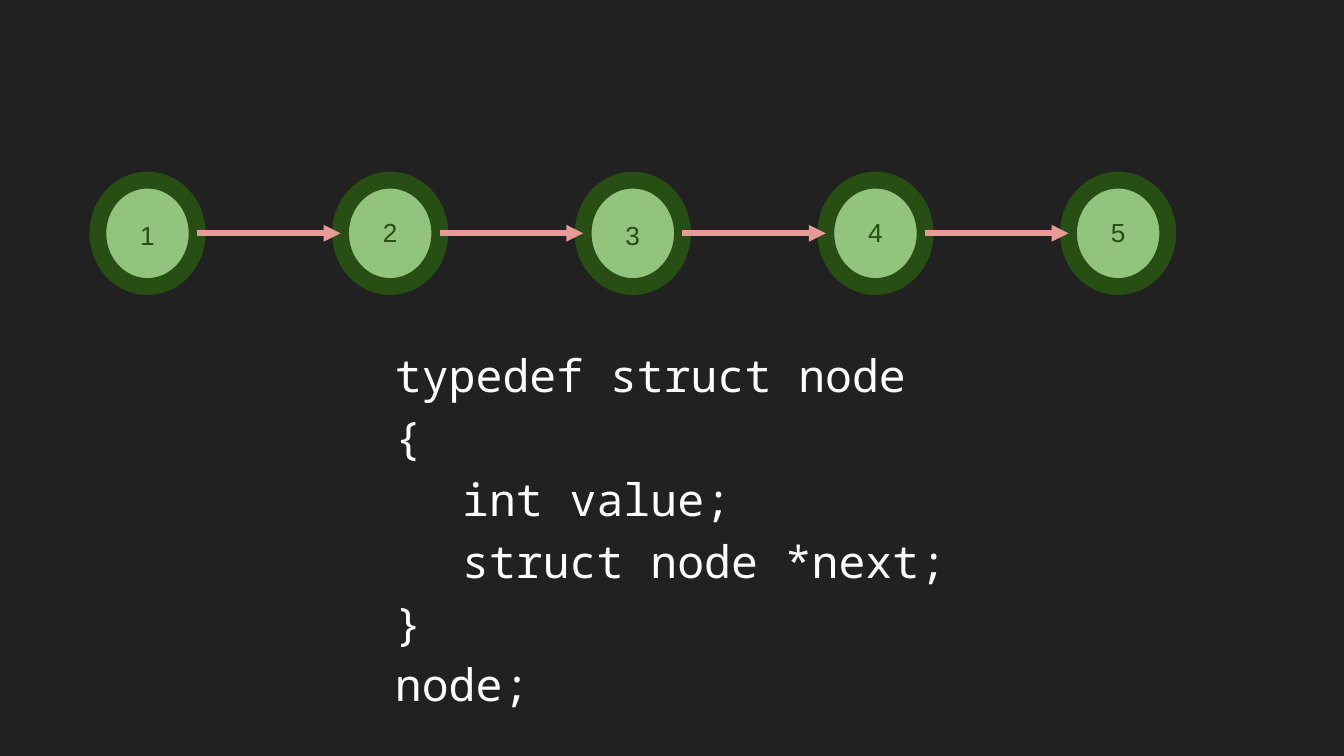
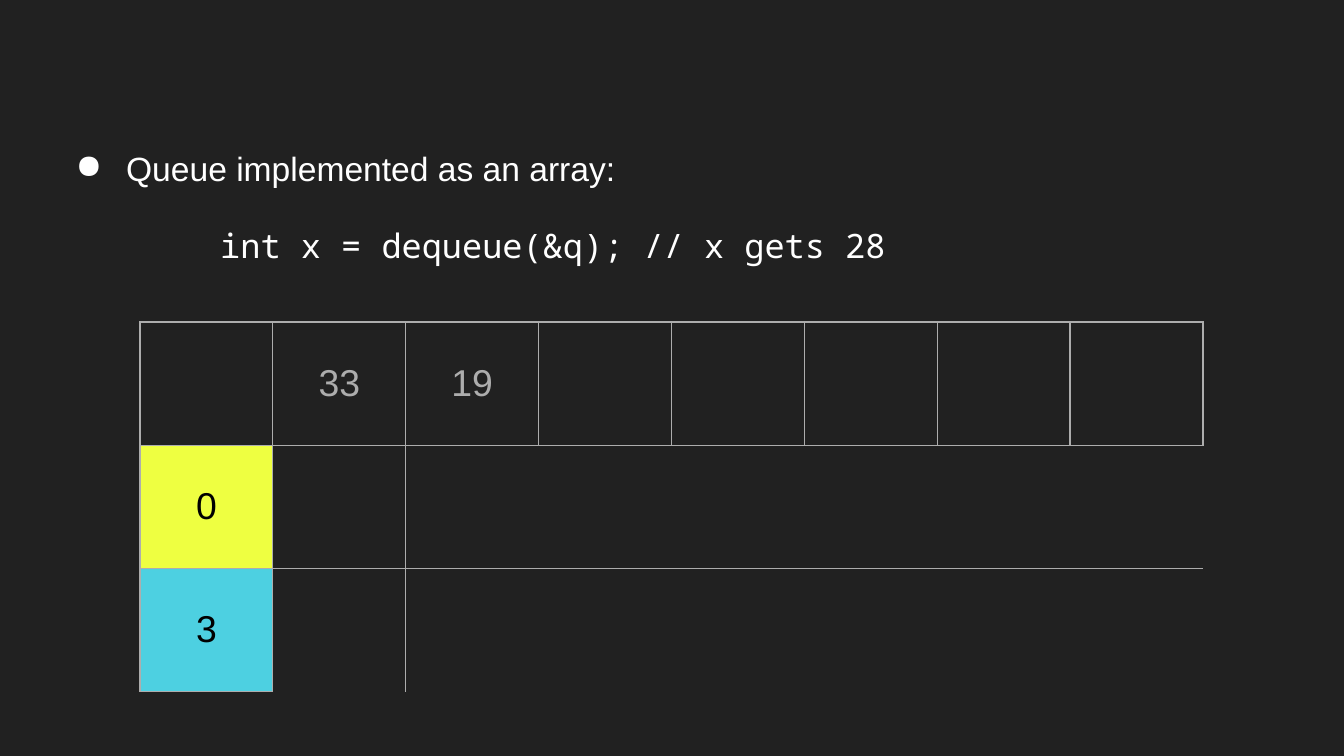
from dataclasses import dataclass

import pptx
import pptx.dml.color
import pptx.enum.shapes
import pptx.enum.text
import pptx.oxml
import pptx.oxml.ns
import pptx.util

Pt = pptx.util.Pt
qn = pptx.oxml.ns.qn
Align = pptx.enum.text.PP_ALIGN
Anchor = pptx.enum.text.MSO_ANCHOR
NS = pptx.oxml.ns.nsdecls("a")
PLAIN_GRID = "{2D5ABB26-0587-4C30-8999-92F81FD0307C}"


@dataclass(frozen=True)
class Theme:
    """Colours, fonts and type sizes."""
    back: str = "212121"
    text: str = "FFFFFF"
    leaf: str = "93C47D"
    moss: str = "274E13"
    arrow: str = "EA9999"
    grid: str = "ADADAD"
    dark: str = "000000"
    yellow: str = "EEFF41"
    cyan: str = "4DD0E1"
    sans: str = "Arial"
    mono: str = "Noto Sans Mono"
    label: int = 14
    body: int = 18
    cell: int = 20
    code: int = 24


THEME = Theme()


def rgb(code):
    """Turn a hex code into a colour."""
    return pptx.dml.color.RGBColor.from_string(code)


def add_xml(parent, markup):
    """Append a small piece of drawing markup to an element."""
    parent.append(pptx.oxml.parse_xml(markup))


def style(para, size, color, font, align=Align.LEFT):
    """Format a paragraph and its runs."""
    para.alignment = align
    for run in para.runs:
        run.font.size = Pt(size)
        run.font.name = font
        run.font.color.rgb = rgb(color)


def new_slide(deck):
    """Add a blank slide with the dark background."""
    slide = deck.slides.add_slide(deck.slide_layouts[6])
    slide.background.fill.solid()
    slide.background.fill.fore_color.rgb = rgb(THEME.back)
    return slide


def add_body(slide, top, height, lines):
    """Add the wide text frame and return its paragraphs."""
    frame = slide.shapes.add_textbox(Pt(24.5), Pt(top), Pt(671), Pt(height)).text_frame
    frame.word_wrap = True
    frame.margin_left = frame.margin_right = Pt(7.2)
    frame.margin_top = frame.margin_bottom = Pt(7.2)
    frame.text = "\n".join(lines)
    for para in frame.paragraphs:
        para.line_spacing = 1.15
    return frame.paragraphs


def indent(para, left, first=0):
    """Set the left margin and first line indent of a paragraph."""
    props = para._p.get_or_add_pPr()
    props.set("marL", str(Pt(left)))
    props.set("indent", str(Pt(first)))
    return props


def add_node(shapes, mid_x, mid_y, text, drop):
    """Draw a ringed node with its number."""
    wide, high = 53.2, 57
    ring = shapes.add_shape(pptx.enum.shapes.MSO_SHAPE.OVAL, Pt(mid_x - wide / 2),
                            Pt(mid_y - high / 2), Pt(wide), Pt(high))
    ring.shadow.inherit = False
    ring.fill.solid()
    ring.fill.fore_color.rgb = rgb(THEME.leaf)
    ring.line.color.rgb = rgb(THEME.moss)
    ring.line.width = Pt(9)
    box = shapes.add_textbox(Pt(mid_x - 9.5), Pt(mid_y - 12.6 + drop), Pt(19), Pt(26))
    frame = box.text_frame
    frame.margin_left = frame.margin_right = 0
    frame.word_wrap = True
    frame.text = text
    style(frame.paragraphs[0], THEME.label, THEME.moss, THEME.sans, Align.CENTER)


def add_arrow(shapes, start, end, y):
    """Draw a level arrow from start to end."""
    line = shapes.add_connector(pptx.enum.shapes.MSO_CONNECTOR.STRAIGHT,
                                Pt(start), Pt(y), Pt(end), Pt(y))
    line.line.color.rgb = rgb(THEME.arrow)
    line.line.width = Pt(3)
    add_xml(line.line._get_or_add_ln(), f'<a:tailEnd {NS} type="triangle"/>')
    add_xml(line._element.spPr, f"<a:effectLst {NS}/>")


def add_edge(cell, side):
    """Draw one border of a table cell."""
    add_xml(cell._tc.get_or_add_tcPr(),
            f'<a:ln{side} {NS} w="{Pt(0.75)}"><a:solidFill>'
            f'<a:srgbClr val="{THEME.grid}"/></a:solidFill></a:ln{side}>')


def fill_cell(cell, text, color, back):
    """Set the text and fill of a table cell."""
    cell.vertical_anchor = Anchor.MIDDLE
    cell.margin_left = cell.margin_right = Pt(7.2)
    cell.margin_top = cell.margin_bottom = Pt(7.2)
    if back:
        cell.fill.solid()
        cell.fill.fore_color.rgb = rgb(back)
    else:
        cell.fill.background()
    cell.text = text
    style(cell.text_frame.paragraphs[0], THEME.cell, color, THEME.sans, Align.CENTER)


def add_queue(slide, items, front, size):
    """Add the array row with the front and size cells below it."""
    cols, rows, wide, high = len(items), 3, 71.2, 66
    table = slide.shapes.add_table(rows, cols, Pt(75), Pt(172.5),
                                   Pt(cols * wide), Pt(rows * high)).table
    table.first_row = table.horz_banding = False
    table._tbl.tblPr.find(qn("a:tableStyleId")).text = PLAIN_GRID
    for col in table.columns:
        col.width = Pt(wide)
    for row in table.rows:
        row.height = Pt(high)
    looks = {(0, col): (text, THEME.grid, None) for col, text in enumerate(items)}
    looks[1, 0] = (front, THEME.dark, THEME.yellow)
    looks[2, 0] = (size, THEME.dark, THEME.cyan)
    for row in range(rows):
        for col in range(cols):
            cell = table.cell(row, col)
            sides = {"L": (row, col - 1), "R": (row, col + 1),
                     "T": (row - 1, col), "B": (row + 1, col)}
            for side, beside in sides.items():
                if (row, col) in looks or beside in looks:
                    add_edge(cell, side)
            fill_cell(cell, *looks.get((row, col), ("", THEME.grid, None)))


def list_slide(deck):
    """Build the linked list slide."""
    slide = new_slide(deck)
    code = ["typedef struct node", "{", "\tint value;", "\tstruct node *next;", "}", "node;"]
    for para in add_body(slide, 175, 211, code):
        indent(para, 180)
        style(para, THEME.code, THEME.text, THEME.mono)
    shapes = slide.shapes.add_group_shape().shapes
    first, step, mid_y, reach = 79, 130, 125, 26.6
    drops = [1.5, 0, 1.5, 0, 0]
    for i, drop in enumerate(drops):
        add_node(shapes, first + i * step, mid_y, str(i + 1), drop)
    for i in range(len(drops) - 1):
        left = first + i * step
        add_arrow(shapes, left + reach, left + step - reach, mid_y)


def queue_slide(deck):
    """Build the array queue slide."""
    slide = new_slide(deck)
    point, code = add_body(slide, 69, 254, [
        "Queue implemented as an array:",
        "        int x = dequeue(&q); // x gets 28"])
    props = indent(point, 36, -27)
    add_xml(props, f'<a:buClr {NS}><a:srgbClr val="{THEME.text}"/></a:buClr>')
    add_xml(props, f'<a:buChar {NS} char="●"/>')
    style(point, THEME.body, THEME.text, THEME.sans)
    code.space_before = Pt(16)
    style(code, THEME.body, THEME.text, THEME.mono)
    add_queue(slide, ["", "33", "19", "", "", "", "", ""], "0", "3")


def main():
    """Build and save the deck."""
    deck = pptx.Presentation()
    deck.slide_width, deck.slide_height = Pt(720), Pt(405)
    list_slide(deck)
    queue_slide(deck)
    deck.save("out.pptx")


if __name__ == "__main__":
    main()
